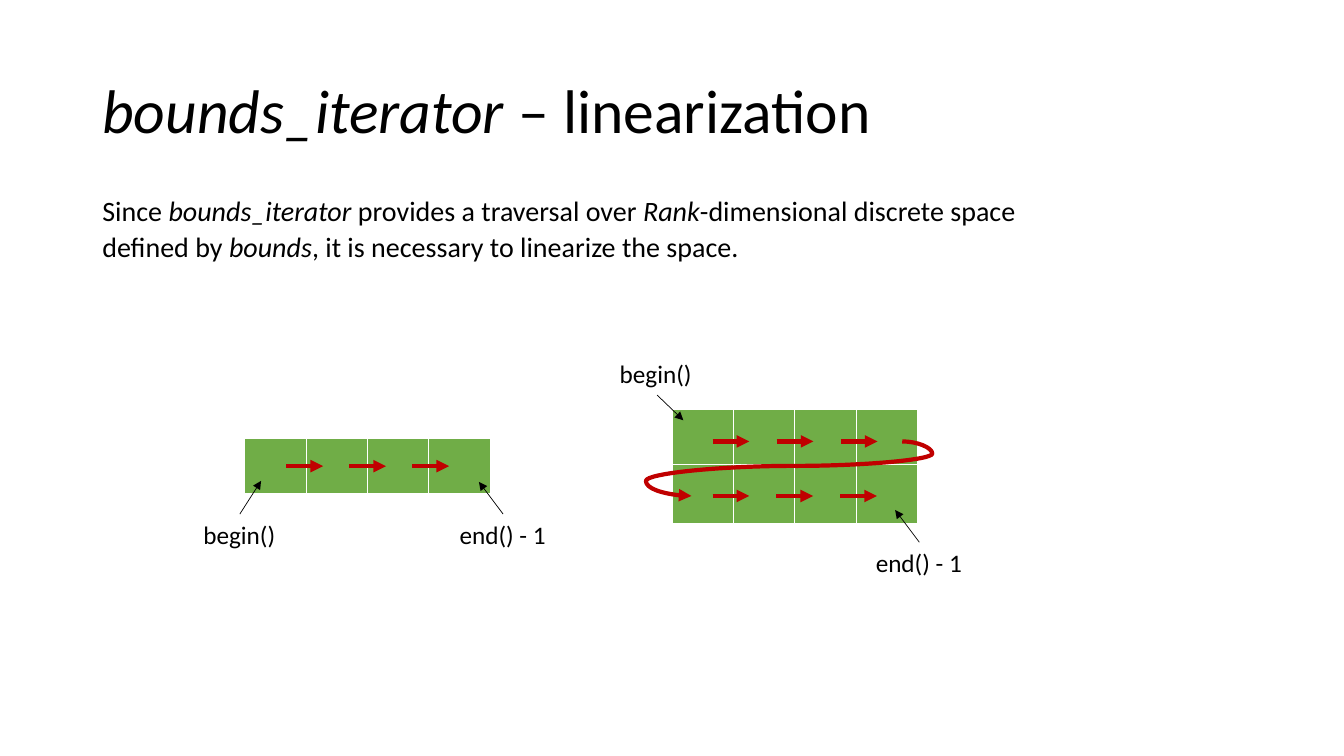
from dataclasses import dataclass

from lxml import etree
from pptx import Presentation
from pptx.dml.color import RGBColor
from pptx.enum.shapes import MSO_CONNECTOR as Connector
from pptx.enum.text import MSO_ANCHOR as Anchor, MSO_AUTO_SIZE as AutoSize
from pptx.oxml.ns import qn
from pptx.util import Pt


@dataclass(frozen=True)
class Theme:
    font: str = "Calibri"
    ink: str = "000000"
    cell: str = "70AD47"
    grid: str = "FFFFFF"
    step: str = "C00000"
    title_size: float = 44
    body_size: float = 20
    label_size: float = 18
    step_width: float = 3
    pointer_width: float = 0.5


THEME = Theme()
COLUMNS = 4
STEP_LENGTH = 26.2


def add_text(page, box, text, size, wrap=True, grow=True, anchor=Anchor.TOP,
             line_spacing=None, space_after=None):
    """Place one paragraph; parts of the text between asterisks are italic."""
    frame = page.shapes.add_textbox(*map(Pt, box)).text_frame
    frame.word_wrap = wrap
    frame.auto_size = AutoSize.SHAPE_TO_FIT_TEXT if grow else AutoSize.NONE
    frame.vertical_anchor = anchor
    para = frame.paragraphs[0]
    if line_spacing:
        para.line_spacing = line_spacing
    if space_after:
        para.space_after = Pt(space_after)
    for index, part in enumerate(text.split("*")):
        if part:
            span = para.add_run()
            span.text = part
            span.font.name = THEME.font
            span.font.size = Pt(size)
            span.font.italic = index % 2 == 1
            span.font.color.rgb = RGBColor.from_string(THEME.ink)


def add_line(page, start, end, color, width, arrow=True, bend=None):
    """Draw a straight line, or a curve whose middle lies at bend."""
    kind = Connector.STRAIGHT if bend is None else Connector.CURVE
    line = page.shapes.add_connector(kind, *map(Pt, (*start, *end)))
    line.line.color.rgb = RGBColor.from_string(color)
    line.line.width = Pt(width)
    properties = line._element.spPr
    if arrow:
        etree.SubElement(properties.find(qn("a:ln")), qn("a:tailEnd"), type="triangle")
    if bend is not None:
        guides = properties.find(qn("a:prstGeom")).find(qn("a:avLst"))
        etree.SubElement(guides, qn("a:gd"), name="adj1", fmla=f"val {round(bend * 100000)}")
    etree.SubElement(properties, qn("a:effectLst"))


def outline_cell(cell):
    properties = cell._tc.get_or_add_tcPr()
    for position, side in enumerate(("a:lnL", "a:lnR", "a:lnT", "a:lnB")):
        border = etree.Element(qn(side), w=str(Pt(1)))
        fill = etree.SubElement(border, qn("a:solidFill"))
        etree.SubElement(fill, qn("a:srgbClr"), val=THEME.grid)
        properties.insert(position, border)


def add_cells(page, box, row_heights):
    left, top, width = box
    table = page.shapes.add_table(
        len(row_heights), COLUMNS, *map(Pt, (left, top, width, sum(row_heights)))).table
    table.first_row = table.horz_banding = False
    for column in table.columns:
        column.width = Pt(width / COLUMNS)
    for row, height in zip(table.rows, row_heights):
        row.height = Pt(height)
        for cell in row.cells:
            cell.fill.solid()
            cell.fill.fore_color.rgb = RGBColor.from_string(THEME.cell)
            outline_cell(cell)


def add_steps(page, left, middle, pitch):
    """Draw the arrows that lead from each cell of a row to the next."""
    for index in range(COLUMNS - 1):
        start = left + index * pitch
        add_line(page, (start, middle), (start + STEP_LENGTH, middle),
                 THEME.step, THEME.step_width)


def add_pointer(page, box, text, start, end):
    """Label a cell; start and end are offsets from the label's corner."""
    left, top = box[:2]
    add_text(page, box, text, THEME.label_size, wrap=False)
    add_line(page, (left + start[0], top + start[1]), (left + end[0], top + end[1]),
             THEME.ink, THEME.pointer_width)


def add_heading(page, box):
    add_text(page, box, "*bounds_iterator* – linearization", THEME.title_size,
             grow=False, anchor=Anchor.MIDDLE, line_spacing=0.9)


def add_summary(page, box):
    add_text(page, box,
             "Since *bounds_iterator *provides a traversal over *Rank*-dimensional "
             "discrete space defined by *bounds*, it is necessary to linearize the space.",
             THEME.body_size, line_spacing=1.07, space_after=8)


def add_single_row(page, box):
    left, top, width = box
    add_cells(page, box, [39.6])
    add_steps(page, left + 29.7, top + 19.8, 45)
    add_pointer(page, (left - 36.7, top + 54, 67, 29), "begin()", (33.1, 0), (48.3, -23.7))
    add_pointer(page, (left + 146.3, top + 54, 77, 29), "end() - 1", (38.2, 0), (20.9, -23))


def add_double_row(page, box):
    left, top, width = box
    first, seam, second = top + 23, top + 40.5, top + 62
    center = left + width / 2
    add_cells(page, box, [39.6, 41.8])
    add_steps(page, left + 28.8, first, 45.8)
    add_line(page, (center, seam), (left + 13.7, second), THEME.step, THEME.step_width,
             bend=1.44)
    add_steps(page, left + 28.8, second, 45.6)
    add_line(page, (left + 164.3, first), (center, seam), THEME.step, THEME.step_width,
             arrow=False, bend=-0.28)
    add_pointer(page, (left - 44.6, top - 39.6, 67, 29), "begin()", (33.8, 29.5), (52.5, 47.5))
    add_pointer(page, (left + 138.3, top + 95, 77, 29), "end() - 1", (38.2, 0), (20.9, -23))


def main():
    deck = Presentation()
    deck.slide_width, deck.slide_height = Pt(960), Pt(540)
    page = deck.slides.add_slide(deck.slide_layouts[6])
    add_heading(page, (66, 28.8, 828, 104.4))
    add_summary(page, (66, 133.2, 716.4, 59))
    add_double_row(page, (480.2, 292.3, 175.2))
    add_single_row(page, (174.9, 313.2, 175.2))
    deck.save("out.pptx")


if __name__ == "__main__":
    main()
